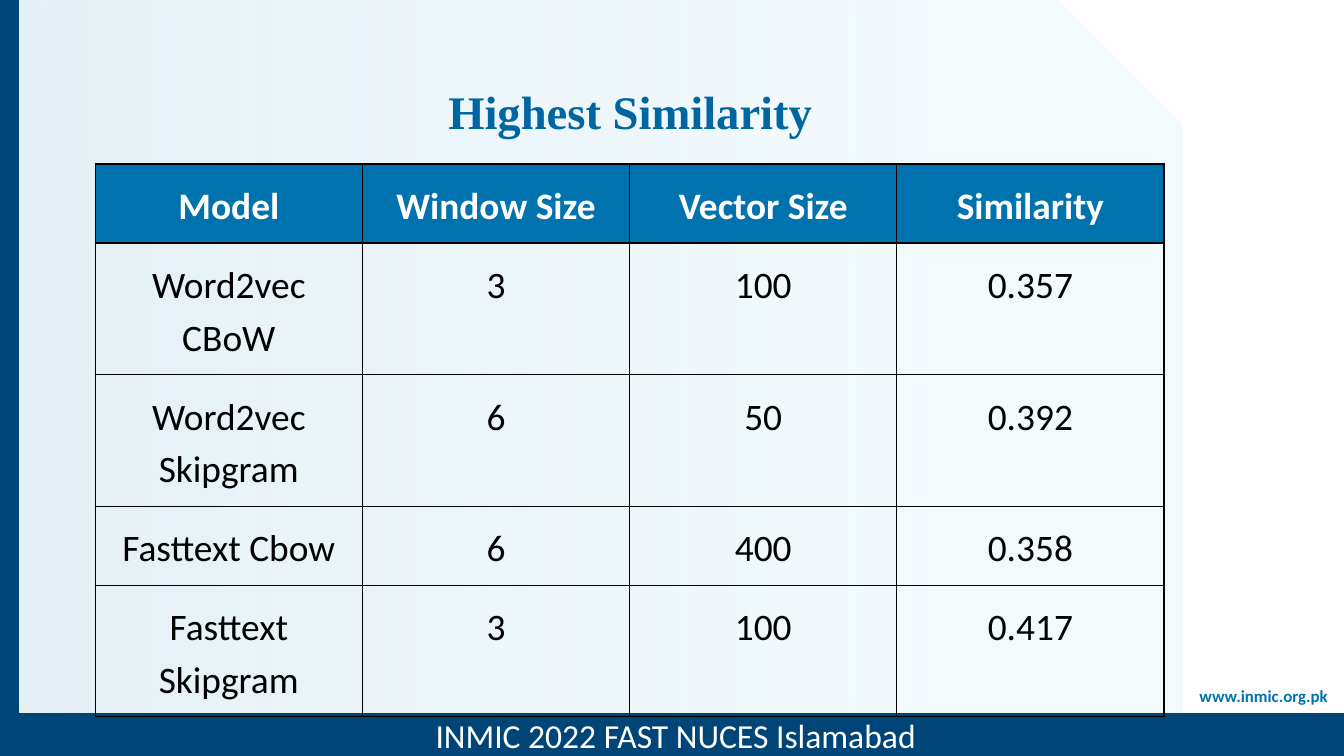
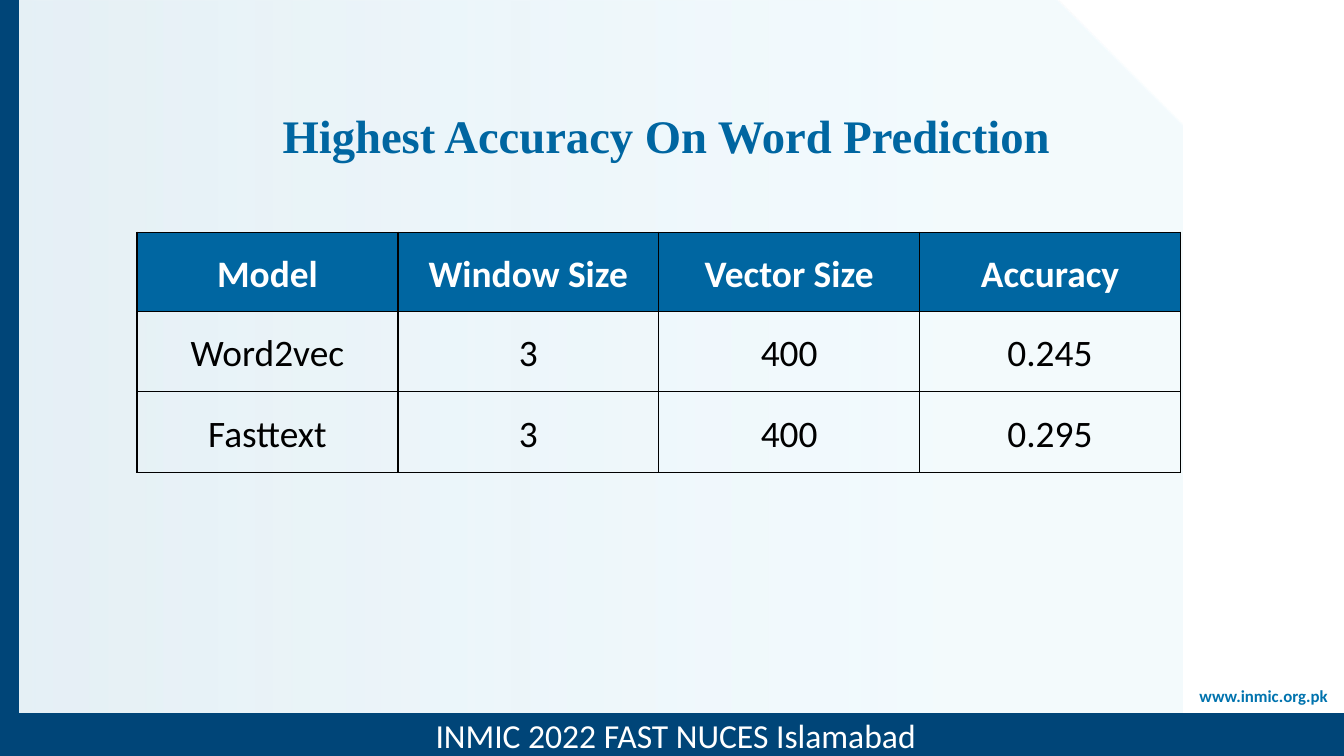
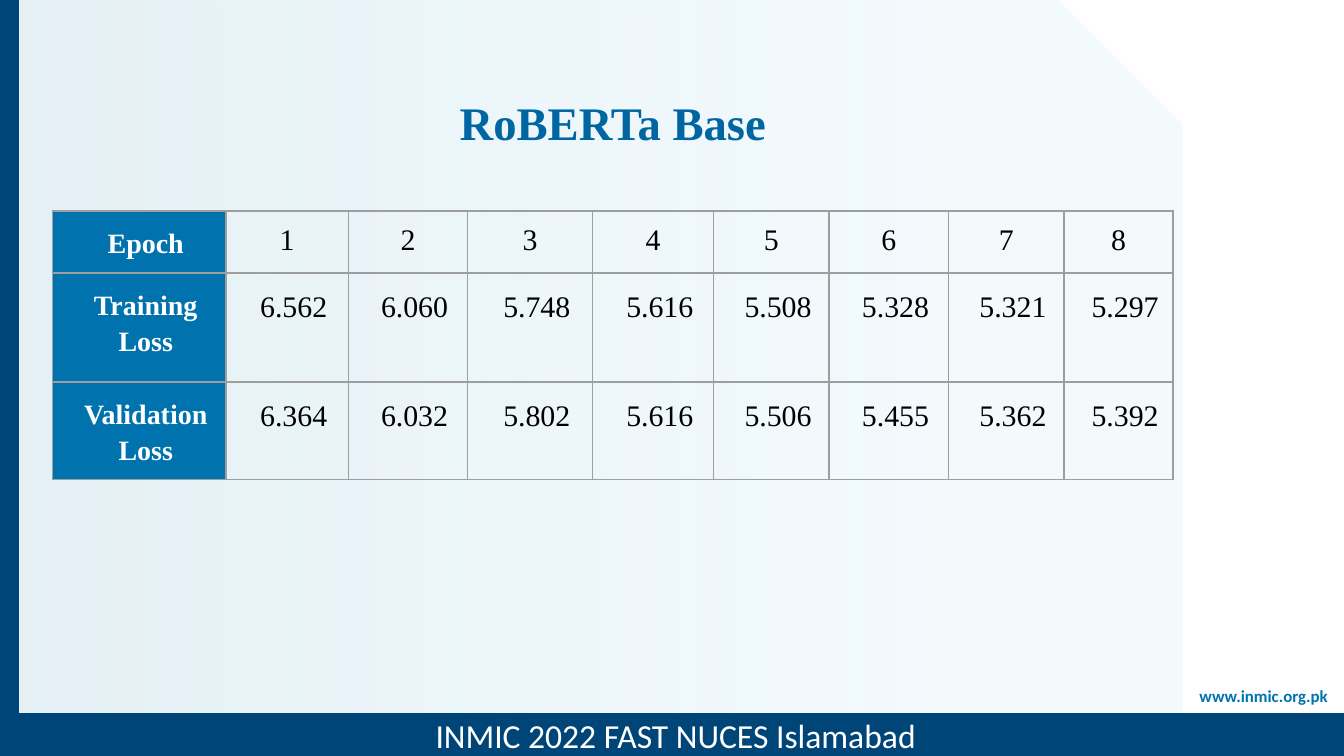
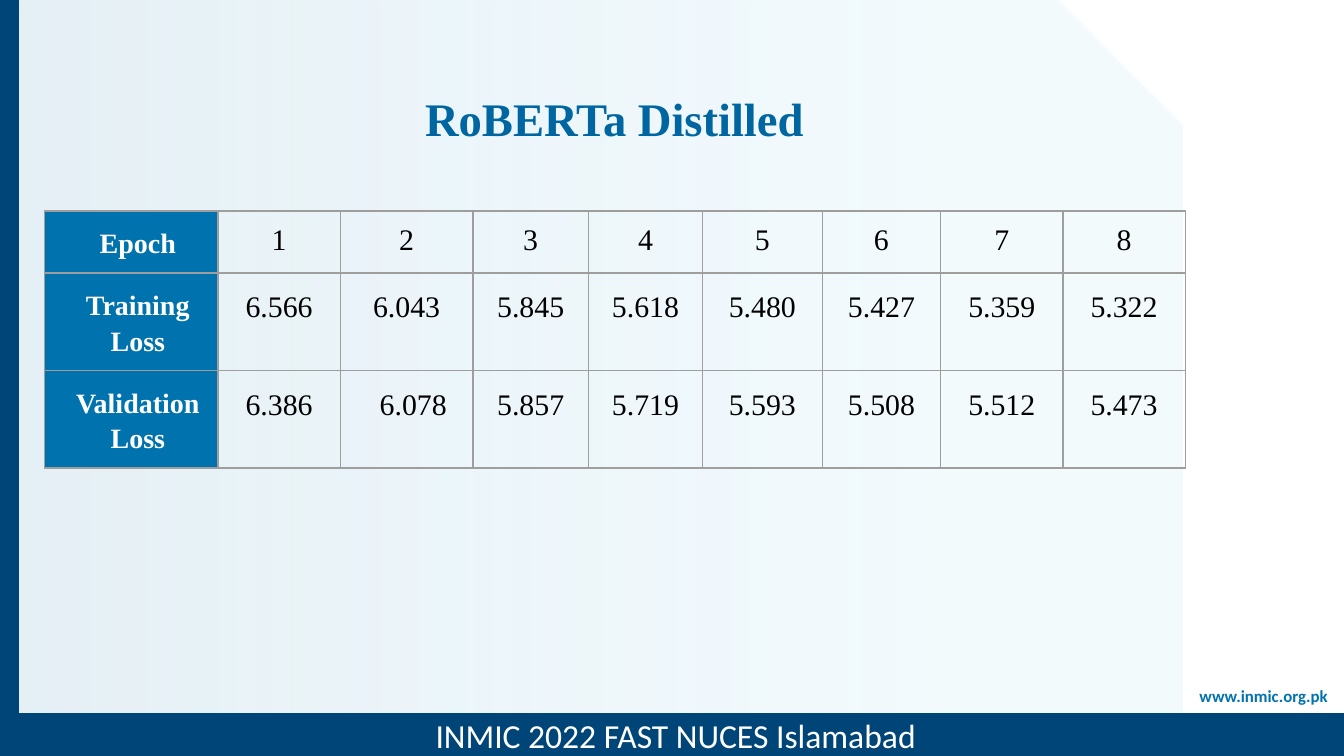
from dataclasses import dataclass

import pptx
import pptx.dml.color
import pptx.enum.shapes
import pptx.enum.text
import pptx.oxml.ns
import pptx.shapes.autoshape
import pptx.slide
import pptx.table
import pptx.util
from lxml import etree

Cm, Pt = pptx.util.Cm, pptx.util.Pt
qn = pptx.oxml.ns.qn
MSO_SHAPE = pptx.enum.shapes.MSO_SHAPE
ANCHOR = pptx.enum.text.MSO_ANCHOR

COLORS = {
    "navy": "004578",
    "title": "0066A1",
    "blue": "0073AE",
    "pale_start": "CBE0EB",
    "pale_end": "D8F0FA",
    "white": "FFFFFF",
    "black": "000000",
    "gray": "9E9E9E",
}
SANS, SERIF = "Calibri", "Times New Roman"
SLIDE_W, SLIDE_H = 25.4, 14.29
TITLE_W, TITLE_H = 18.44, 0.97
CELL_MARGIN = Cm(0.25)
CELL_INDENT = Cm(0.25)


@dataclass(frozen=True)
class TextStyle:
    font: str
    size: float
    color: str
    bold: bool = False
    spacing: float = 1.0


@dataclass(frozen=True)
class TableStyle:
    header: TextStyle
    body: TextStyle
    header_fill: str
    border: str
    header_in_column: bool = False


@dataclass(frozen=True)
class TableSlide:
    title: str
    title_at: tuple[float, float]
    table_at: tuple[float, float]
    cols: list[float]
    rows: list[float]
    data: list[list[str]]
    style: TableStyle
    indented: frozenset[tuple[int, int]] = frozenset()


TITLE = TextStyle(SERIF, 25, "title", True, 0.9)
WEB_ADDRESS = TextStyle(SANS, 9, "blue", True, 0.9)
FOOTER = TextStyle(SANS, 18, "white")
SCORE_HEADER = TextStyle(SANS, 20, "white", True, 1.15)
SCORE_BODY = TextStyle(SANS, 20, "black", False, 1.15)
LOSS_HEADER = TextStyle(SERIF, 15, "white", True, 1.15)
LOSS_BODY = TextStyle(SERIF, 16, "black", False, 1.15)
EPOCH_NUMBER = TextStyle(SERIF, 16, "black")

SIMILARITY = TableStyle(SCORE_HEADER, SCORE_BODY, "blue", "black")
ACCURACY = TableStyle(SCORE_HEADER, SCORE_BODY, "title", "black")
LOSS = TableStyle(LOSS_HEADER, LOSS_BODY, "blue", "gray", True)

EPOCHS = ["Epoch"] + [str(n) for n in range(1, 9)]
LABEL_CELLS = {(row, 0) for row in range(3)}
LOSS_CELLS = {(row, col) for row in (1, 2) for col in range(1, 9)}

SLIDES = [
    TableSlide(
        "Highest Similarity", (2.69, 1.8), (1.8, 3.1),
        [5.05] * 4, [1.09, 1.88, 1.75, 1.09, 1.52],
        [["Model", "Window Size", "Vector Size", "Similarity"],
         ["Word2vec CBoW", "3", "100", "0.357"],
         ["Word2vec Skipgram", "6", "50", "0.392"],
         ["Fasttext Cbow", "6", "400", "0.358"],
         ["Fasttext Skipgram", "3", "100", "0.417"]],
        SIMILARITY,
    ),
    TableSlide(
        "Highest Accuracy On Word Prediction ", (3.48, 2.24), (2.59, 4.39),
        [4.93] * 4, [1.09, 1.52, 1.52],
        [["Model", "Window Size", "Vector Size", "Accuracy"],
         ["Word2vec", "3", "400", "0.245"],
         ["Fasttext", "3", "400", "0.295"]],
        ACCURACY,
    ),
    TableSlide(
        "RoBERTa Base", (2.36, 2.01), (0.99, 3.99),
        [3.28, 2.31, 2.26, 2.36, 2.29, 2.18, 2.26, 2.18, 2.06],
        [0.84, 2.06, 1.57],
        [EPOCHS,
         ["Training Loss", "6.562", "6.060", "5.748", "5.616",
          "5.508", "5.328", "5.321", "5.297"],
         ["Validation Loss", "6.364", "6.032", "5.802", "5.616",
          "5.506", "5.455", "5.362", "5.392"]],
        LOSS, frozenset(LABEL_CELLS | LOSS_CELLS),
    ),
    TableSlide(
        "RoBERTa Distilled", (2.39, 1.93), (0.84, 3.99),
        [3.28, 2.31, 2.51, 2.18, 2.16, 2.26, 2.24, 2.31, 2.31],
        [0.84, 1.17, 1.47],
        [EPOCHS,
         ["Training Loss", "6.566", "6.043", "5.845", "5.618",
          "5.480", "5.427", "5.359", "5.322"],
         ["Validation Loss", "6.386", "6.078", "5.857", "5.719",
          "5.593", "5.508", "5.512", "5.473"]],
        LOSS, frozenset(LABEL_CELLS | {(2, 2)}),
    ),
]


def rgb(name: str) -> pptx.dml.color.RGBColor:
    return pptx.dml.color.RGBColor.from_string(COLORS[name])


def write(tf, text: str, style: TextStyle) -> None:
    """Put one centred, formatted paragraph in a text frame."""
    tf.word_wrap = True
    p = tf.paragraphs[0]
    p.text = text
    p.alignment = pptx.enum.text.PP_ALIGN.CENTER
    p.line_spacing = style.spacing
    p.space_before = Pt(0)
    for r in p.runs:
        r.font.name = style.font
        r.font.size = Pt(style.size)
        r.font.bold = style.bold
        r.font.color.rgb = rgb(style.color)


# Shared frame
def add_block(s: pptx.slide.Slide, kind: MSO_SHAPE, left: float, top: float,
              width: float, height: float) -> pptx.shapes.autoshape.Shape:
    sp = s.shapes.add_shape(kind, Cm(left), Cm(top), Cm(width), Cm(height))
    sp.shadow.inherit = False
    sp.fill.solid()
    sp.fill.fore_color.rgb = rgb("navy")
    sp.line.fill.background()
    return sp


def fade(sp: pptx.shapes.autoshape.Shape,
         stops: list[tuple[int, str, int]]) -> None:
    """Fill a shape left to right with (position, colour, opacity) stops."""
    sp.fill.gradient()
    sp.fill.gradient_angle = 0
    gs_list = sp.element.spPr.find(".//" + qn("a:gsLst"))
    for gs in list(gs_list):
        gs_list.remove(gs)
    for position, color, opacity in stops:
        gs = etree.SubElement(gs_list, qn("a:gs"), pos=str(position * 1000))
        clr = etree.SubElement(gs, qn("a:srgbClr"), val=COLORS[color])
        etree.SubElement(clr, qn("a:alpha"), val=str(opacity * 1000))


def add_frame(s: pptx.slide.Slide, layout: pptx.slide.SlideLayout) -> None:
    """Draw the frame on a slide, then move it to the layout all slides use."""
    backdrop = add_block(s, MSO_SHAPE.SNIP_1_RECTANGLE, 0, 0, 22.35, SLIDE_H)
    backdrop.adjustments[0] = 0.167
    fade(backdrop, [(0, "pale_start", 50), (79, "pale_end", 30),
                    (100, "pale_end", 30)])

    address = s.shapes.add_textbox(Cm(22.23), Cm(12.88), Cm(3.3), Cm(0.94))
    write(address.text_frame, "www.inmic.org.pk", WEB_ADDRESS)

    side_band = add_block(s, MSO_SHAPE.RECTANGLE, 0, 0, 0.36, SLIDE_H)
    footer = add_block(s, MSO_SHAPE.RECTANGLE, 0, 13.49, 25.55, 0.81)
    footer.line.color.rgb = rgb("navy")
    footer.line.width = Pt(1)
    footer.text_frame.vertical_anchor = ANCHOR.MIDDLE
    write(footer.text_frame, "INMIC 2022 FAST NUCES Islamabad", FOOTER)

    for ph in list(layout.placeholders):
        if ph.placeholder_format.type != pptx.enum.shapes.PP_PLACEHOLDER.TITLE:
            layout.shapes.element.remove(ph.element)
    for i, sp in enumerate([backdrop, address, side_band, footer]):
        layout.shapes.element.insert(2 + i, sp.element)


# Titles and tables
def set_title(s: pptx.slide.Slide, spec: TableSlide) -> None:
    sp = s.shapes.title
    sp.left, sp.top = (Cm(v) for v in spec.title_at)
    sp.width, sp.height = Cm(TITLE_W), Cm(TITLE_H)
    tf = sp.text_frame
    tf.auto_size = pptx.enum.text.MSO_AUTO_SIZE.NONE
    tf.vertical_anchor = ANCHOR.BOTTOM
    write(tf, spec.title, TITLE)


def set_borders(cell: pptx.table._Cell, color: str) -> None:
    tc_pr = cell._tc.get_or_add_tcPr()
    for side in ("a:lnL", "a:lnR", "a:lnT", "a:lnB"):
        ln = etree.SubElement(tc_pr, qn(side), w=str(Pt(0.75)))
        fill = etree.SubElement(ln, qn("a:solidFill"))
        etree.SubElement(fill, qn("a:srgbClr"), val=COLORS[color])


def format_cell(cell: pptx.table._Cell, row: int, col: int,
                spec: TableSlide) -> None:
    style = spec.style
    is_header = (col if style.header_in_column else row) == 0
    text_style = style.header if is_header else style.body
    if style.header_in_column and row == 0 and not is_header:
        text_style = EPOCH_NUMBER

    cell.margin_left = cell.margin_right = CELL_MARGIN
    cell.margin_top = cell.margin_bottom = CELL_MARGIN
    set_borders(cell, style.border)
    if is_header:
        cell.fill.solid()
        cell.fill.fore_color.rgb = rgb(style.header_fill)
    else:
        cell.fill.background()

    write(cell.text_frame, spec.data[row][col], text_style)
    if (row, col) in spec.indented:
        p_pr = cell.text_frame.paragraphs[0]._p.get_or_add_pPr()
        p_pr.set("marL", str(CELL_INDENT))
        p_pr.set("indent", "0")


def add_data_table(s: pptx.slide.Slide, spec: TableSlide) -> None:
    left, top = spec.table_at
    table = s.shapes.add_table(
        len(spec.rows), len(spec.cols), Cm(left), Cm(top),
        Cm(sum(spec.cols)), Cm(sum(spec.rows))).table
    table.first_row = table.horz_banding = False
    for column, width in zip(table.columns, spec.cols):
        column.width = Cm(width)
    for row, height in enumerate(spec.rows):
        table.rows[row].height = Cm(height)
        for col in range(len(spec.cols)):
            format_cell(table.cell(row, col), row, col, spec)


def main() -> None:
    prs = pptx.Presentation()
    prs.slide_width, prs.slide_height = Cm(SLIDE_W), Cm(SLIDE_H)
    layout = prs.slide_layouts.get_by_name("Title Only")
    slides = [prs.slides.add_slide(layout) for _ in SLIDES]
    add_frame(slides[0], layout)
    for s, spec in zip(slides, SLIDES):
        set_title(s, spec)
        add_data_table(s, spec)
    prs.save("out.pptx")


if __name__ == "__main__":
    main()
